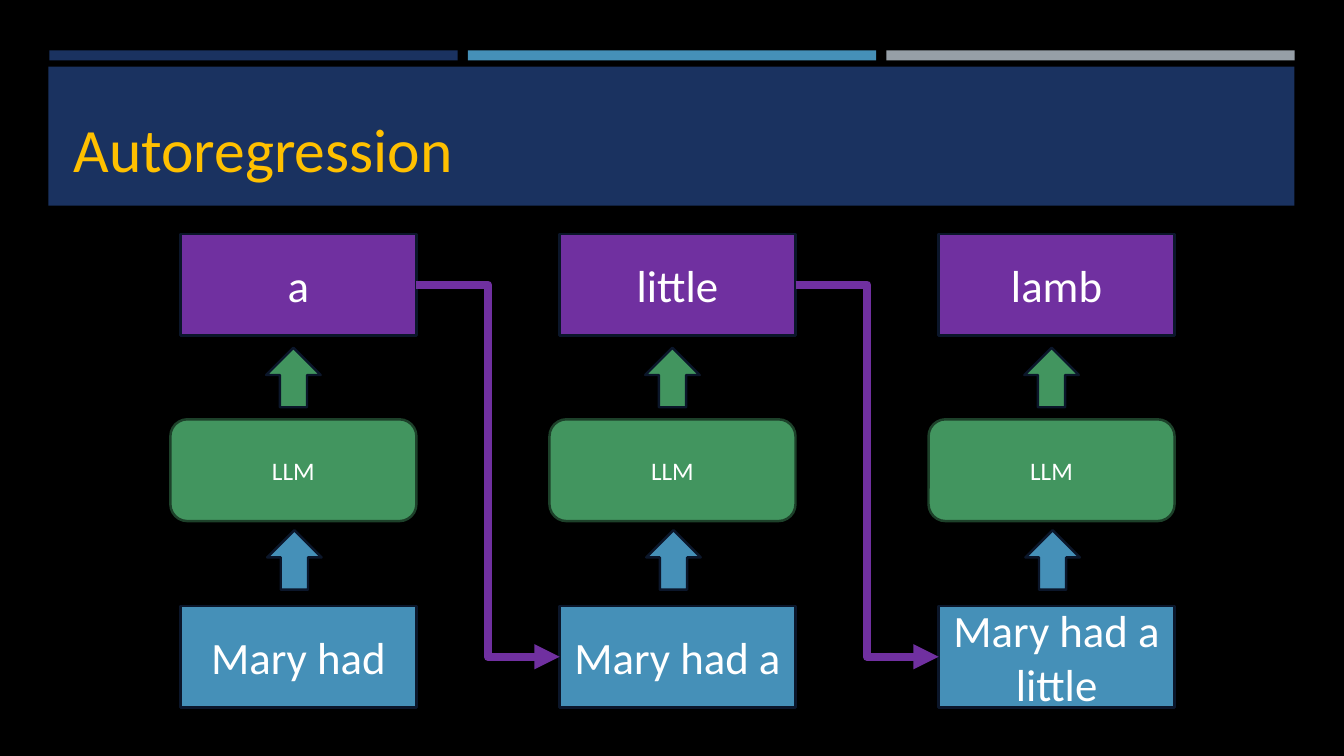
from lxml.etree import SubElement
from pptx import Presentation
from pptx.dml.color import RGBColor
from pptx.enum.shapes import MSO_CONNECTOR, MSO_SHAPE
from pptx.enum.text import MSO_ANCHOR, PP_ALIGN
from pptx.oxml.ns import qn
from pptx.util import Emu, Pt

PX = 9144  # EMU per px, 100 px to the inch
FONT = "Calibri"
BLACK = RGBColor(0x00, 0x00, 0x00)
WHITE = RGBColor(0xFF, 0xFF, 0xFF)
NAVY = RGBColor(0x1A, 0x32, 0x60)
DARK_NAVY = RGBColor(0x0B, 0x16, 0x2A)
BLUE = RGBColor(0x45, 0x90, 0xB8)
GRAY = RGBColor(0x96, 0x9F, 0xA7)
GREEN = RGBColor(0x42, 0x95, 0x5F)
DARK_GREEN = RGBColor(0x1D, 0x41, 0x2A)
PURPLE = RGBColor(0x70, 0x30, 0xA0)
GOLD = RGBColor(0xFF, 0xC0, 0x00)

STEPS = [("Mary had", "a"), ("Mary had a", "little"), ("Mary had a little", "lamb")]
STEP_PITCH = 376


def px(*lengths):
    return [Emu(length * PX) for length in lengths]


def write(shape, text, size, color, align, anchor):
    frame = shape.text_frame
    frame.word_wrap = True
    frame.vertical_anchor = anchor
    frame.text = text
    paragraph = frame.paragraphs[0]
    paragraph.alignment = align
    font = paragraph.runs[0].font
    font.name, font.size = FONT, Pt(size)
    font.color.rgb = color


def add_block(slide, kind, box, fill, outline=None, text="", size=32):
    block = slide.shapes.add_shape(kind, *px(*box))
    block.shadow.inherit = False
    block.fill.solid()
    block.fill.fore_color.rgb = fill
    if outline is None:
        block.line.fill.background()
    else:
        block.line.color.rgb = outline
        block.line.width = Pt(1.75)
    if text:
        write(block, text, size, WHITE, PP_ALIGN.CENTER, MSO_ANCHOR.MIDDLE)
    return block


def add_header(slide, left, top, width, title):
    for i, color in enumerate((NAVY, BLUE, GRAY)):
        add_block(slide, MSO_SHAPE.RECTANGLE, (left + 1 + i * 415, top, 405, 10), color)
    add_block(slide, MSO_SHAPE.RECTANGLE, (left, top + 16, width, 138), NAVY)
    title_box = slide.shapes.add_textbox(*px(left + 15, top + 30, width - 30, 108))
    write(title_box, title, 44, GOLD, PP_ALIGN.LEFT, MSO_ANCHOR.BOTTOM)


def add_step(slide, left, top, width, prompt, next_word):
    """Stack prompt, model and predicted word; return the prompt and word blocks."""
    def word_block(offset, fill, text):
        box = (left + 10, top + offset, width - 10, 101)
        return add_block(slide, MSO_SHAPE.RECTANGLE, box, fill, DARK_NAVY, text)

    prompt_block = word_block(369, BLUE, prompt)
    add_block(slide, MSO_SHAPE.ROUNDED_RECTANGLE, (left, top + 184, width, 101),
              GREEN, DARK_GREEN, "LLM", 18)
    word = word_block(0, PURPLE, next_word)
    for x, y, color in ((96, 294, BLUE), (95, 113, GREEN)):
        add_block(slide, MSO_SHAPE.UP_ARROW, (left + x, top + y, 54, 59), color, DARK_NAVY)
    return prompt_block, word


def add_feedback(slide, word, prompt_block):
    """Lead a predicted word into the next prompt."""
    arrow = slide.shapes.add_connector(MSO_CONNECTOR.ELBOW, 0, 0, 0, 0)
    arrow.begin_connect(word, 3)
    arrow.end_connect(prompt_block, 1)
    arrow.line.color.rgb = PURPLE
    arrow.line.width = Pt(6)
    line = arrow.line._get_or_add_ln()
    SubElement(line, qn("a:round"))
    SubElement(line, qn("a:tailEnd"), type="triangle")
    SubElement(arrow._element.spPr, qn("a:effectLst"))


def add_autoregression(slide, left, top, step_width):
    steps = [add_step(slide, left + i * STEP_PITCH, top, step_width, *texts)
             for i, texts in enumerate(STEPS)]
    for (_, word), (next_prompt, _) in zip(steps, steps[1:]):
        add_feedback(slide, word, next_prompt)


def main():
    presentation = Presentation()
    presentation.slide_width, presentation.slide_height = px(1333, 750)
    slide = presentation.slides.add_slide(presentation.slide_layouts[6])
    slide.background.fill.solid()
    slide.background.fill.fore_color.rgb = BLACK
    add_header(slide, 48, 50, 1236, "Autoregression")
    add_autoregression(slide, 169, 232, 244)
    presentation.save("out.pptx")


if __name__ == "__main__":
    main()
